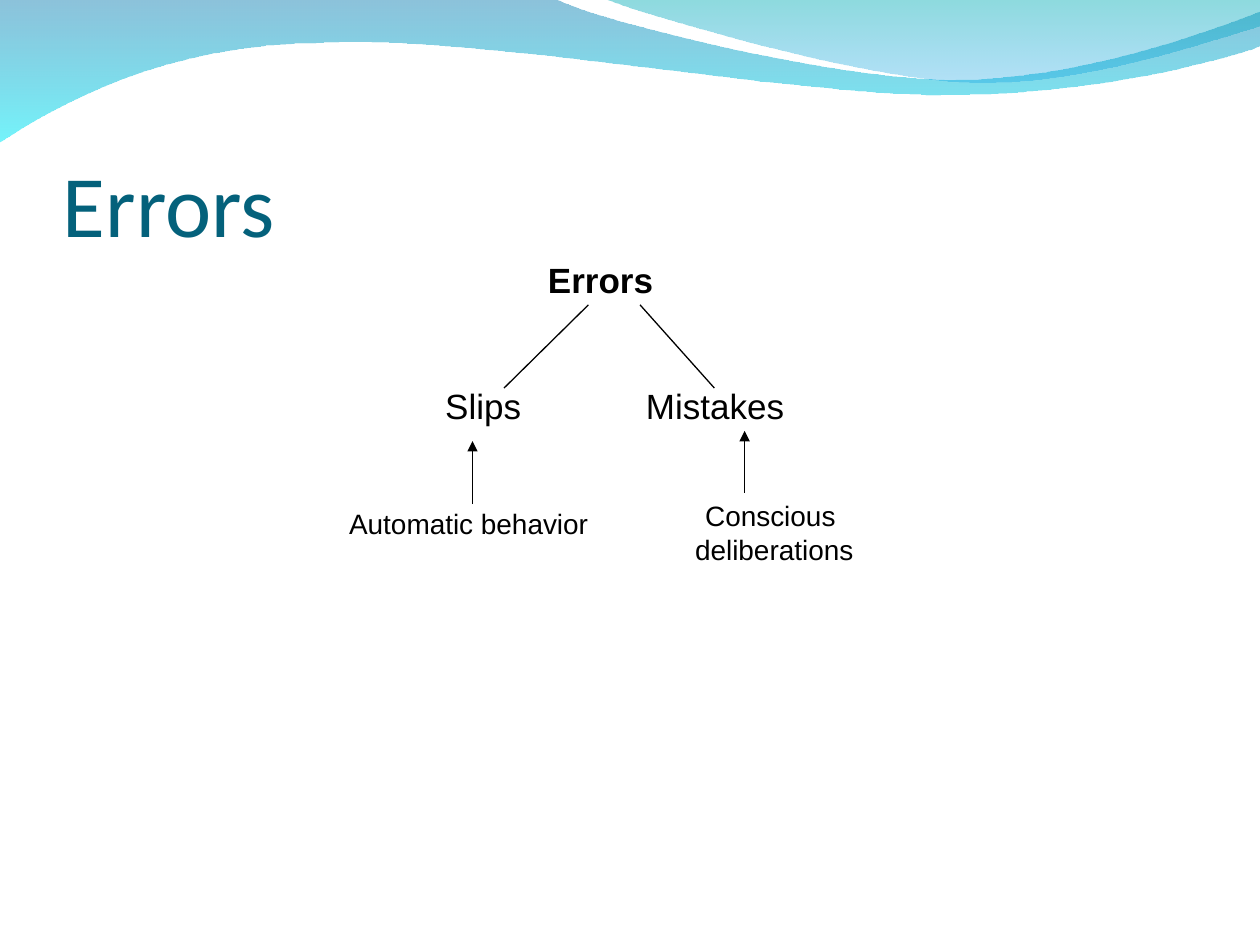
from pptx import Presentation
from pptx.dml.color import RGBColor
from pptx.enum.shapes import MSO_CONNECTOR
from pptx.enum.text import MSO_ANCHOR, MSO_AUTO_SIZE, PP_ALIGN
from pptx.oxml.ns import qn
from pptx.util import Inches, Pt
from lxml import etree

LINE = MSO_CONNECTOR.STRAIGHT
TOP, BOTTOM = MSO_ANCHOR.TOP, MSO_ANCHOR.BOTTOM
LEFT, CENTER = PP_ALIGN.LEFT, PP_ALIGN.CENTER
GROW, FIXED = MSO_AUTO_SIZE.SHAPE_TO_FIT_TEXT, MSO_AUTO_SIZE.NONE

THEME = {
    "ink": "000000", "title": "04617B",
    "head": "Calibri", "body": "Arial",
    "big": 50, "node": 20, "note": 16, "rule": 0.75,
}

# Each wave: start, then steps of one point (line) or three points (curve);
# stops are colour and opacity in percent, from top to bottom.
WAVES = [
    {"start": (0, -0.01),
     "steps": [
         [(4.4, -0.01)],
         [(4.76, 0.17), (6.64, 0.63), (7.58, 0.63)],
         [(8.53, 0.63), (9.58, 0.26), (10, 0.09)],
         [(10.01, 0.36)],
         [(9.83, 0.44), (8.7, 0.76), (7.46, 0.75)],
         [(6.22, 0.75), (3.82, 0.28), (2.57, 0.34)],
         [(1.29, 0.35), (0.46, 0.83), (-0.01, 1.13)]],
     "stops": [("0079AF", 45), ("00EBF8", 55)]},
    {"start": (4.79, -0.01),
     "steps": [
         [(5.09, 0.11), (6.82, 0.62), (7.69, 0.65)],
         [(8.56, 0.69), (9.61, 0.32), (10, 0.21)],
         [(10, 0)]],
     "stops": [("00ADB6", 45), ("009BE5", 30)]},
]
TITLE = ("Errors", (0.5, 0.77, 9, 1.25))
# Text lines, box, size, bold
NODES = [
    (["Errors "], (4.25, 2, 1.11, 0.44), "node", True),
    (["Slips"], (3.43, 3, 0.81, 0.44), "node", False),
    (["Mistakes"], (5.02, 3, 1.31, 0.44), "node", False),
    (["Automatic behavior"], (2.67, 3.97, 2.1, 0.37), "note", False),
    (["Conscious ", "deliberations"], (5.41, 3.91, 1.47, 0.64), "note", False),
]
# From, to, arrowhead
LINKS = [
    ((4.67, 2.42), (4, 3.08), False),
    ((5.08, 2.42), (5.67, 3.08), False),
    ((3.75, 4), (3.75, 3.5), True),
    ((5.91, 3.91), (5.91, 3.42), True),
]


def bend(shape, steps):
    """Turn each run of three line segments that stands for a curve into one."""
    lines = iter(list(shape._element.iter(qn("a:lnTo"))))
    for step in steps:
        group = [next(lines) for _ in step]
        if len(group) == 3:
            arc = etree.Element(qn("a:cubicBezTo"))
            group[0].addprevious(arc)
            for line in group:
                arc.append(line[0])
                line.getparent().remove(line)


def add_wave(slide, wave):
    pts = [wave["start"]] + sum(wave["steps"], [])
    pts = [(Inches(x), Inches(y)) for x, y in pts]
    pen = slide.shapes.build_freeform(*pts[0])
    pen.add_line_segments(pts[1:], close=True)
    shape = pen.convert_to_shape()
    bend(shape, wave["steps"])
    shape.shadow.inherit = False
    shape.line.fill.background()
    shape.fill.gradient()
    shape.fill.gradient_angle = 270
    for stop, (tone, _) in zip(shape.fill.gradient_stops, wave["stops"]):
        stop.color.rgb = RGBColor.from_string(tone)
    tones = shape._element.spPr.iter(qn("a:srgbClr"))
    for node, (_, alpha) in zip(tones, wave["stops"]):
        etree.SubElement(node, qn("a:alpha"), val=str(alpha * 1000))


def add_text(slide, lines, box, size, font="body", tone="ink", bold=False,
             align=CENTER, anchor=TOP, wrap=False, fit=GROW, side=0.1,
             foot=0.05):
    frame = slide.shapes.add_textbox(*map(Inches, box)).text_frame
    frame.word_wrap = wrap
    frame.auto_size = fit
    frame.vertical_anchor = anchor
    frame.margin_left = frame.margin_right = Inches(side)
    frame.margin_top, frame.margin_bottom = Inches(0.05), Inches(foot)
    for i, line in enumerate(lines):
        para = frame.add_paragraph() if i else frame.paragraphs[0]
        para.alignment = align
        run = para.add_run()
        run.text = line
        run.font.name = THEME[font]
        run.font.size = Pt(THEME[size])
        run.font.bold = bold
        run.font.color.rgb = RGBColor.from_string(THEME[tone])


def add_link(slide, start, end, arrow):
    link = slide.shapes.add_connector(LINE, *map(Inches, start + end))
    link.line.width = Pt(THEME["rule"])
    link.line.color.rgb = RGBColor.from_string(THEME["ink"])
    if arrow:
        etree.SubElement(link.line._get_or_add_ln(), qn("a:tailEnd"),
                         type="triangle")
    etree.SubElement(link._element.spPr, qn("a:effectLst"))


def main():
    deck = Presentation()
    deck.slide_width, deck.slide_height = Inches(10), Inches(7.5)
    slide = deck.slides.add_slide(deck.slide_layouts[6])
    for wave in WAVES:
        add_wave(slide, wave)
    text, box = TITLE
    add_text(slide, [text], box, "big", "head", "title", align=LEFT,
             anchor=BOTTOM, wrap=True, fit=FIXED, side=0, foot=0)
    for lines, box, size, bold in NODES:
        add_text(slide, lines, box, size, bold=bold)
    for link in LINKS:
        add_link(slide, *link)
    deck.save("out.pptx")


if __name__ == "__main__":
    main()
